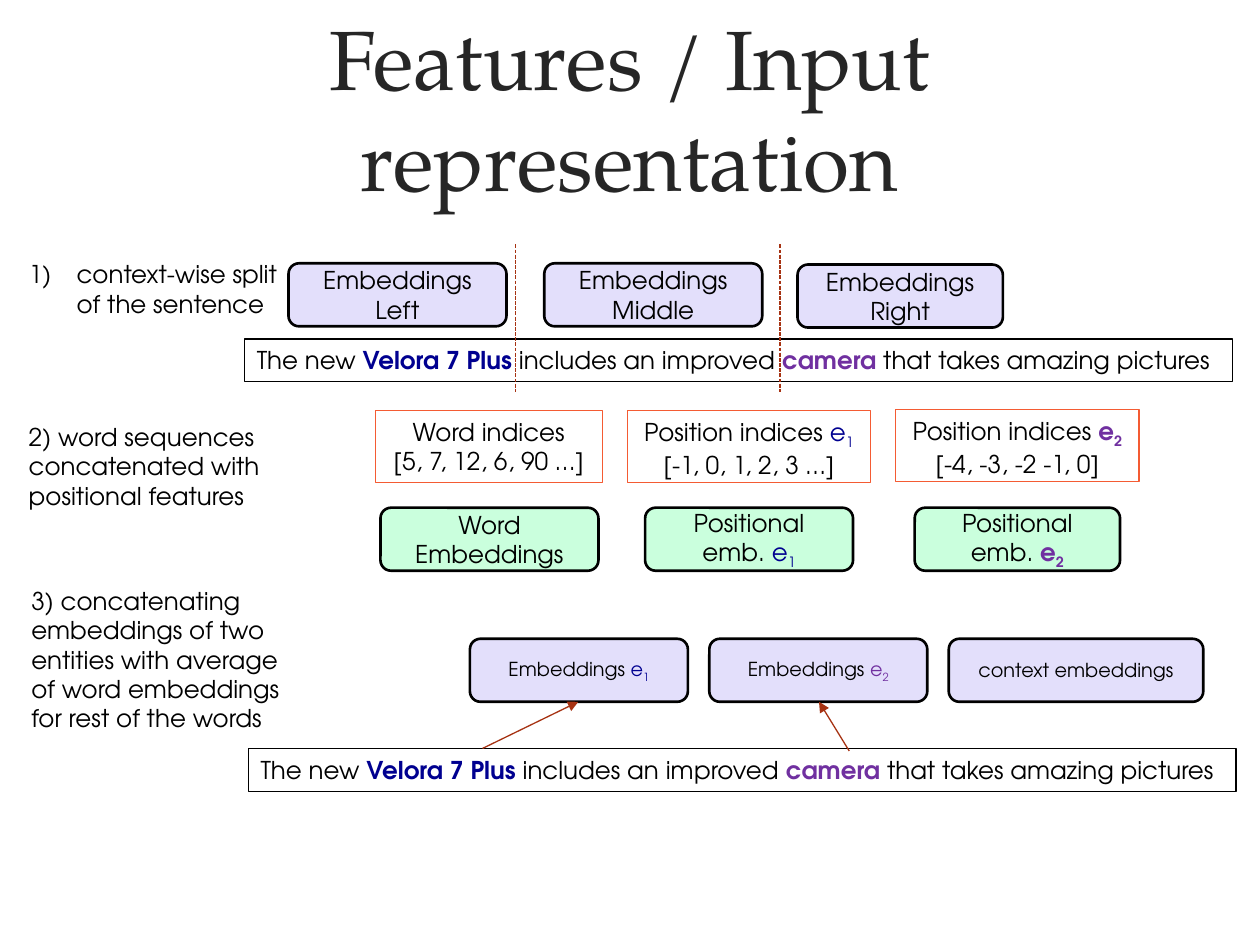
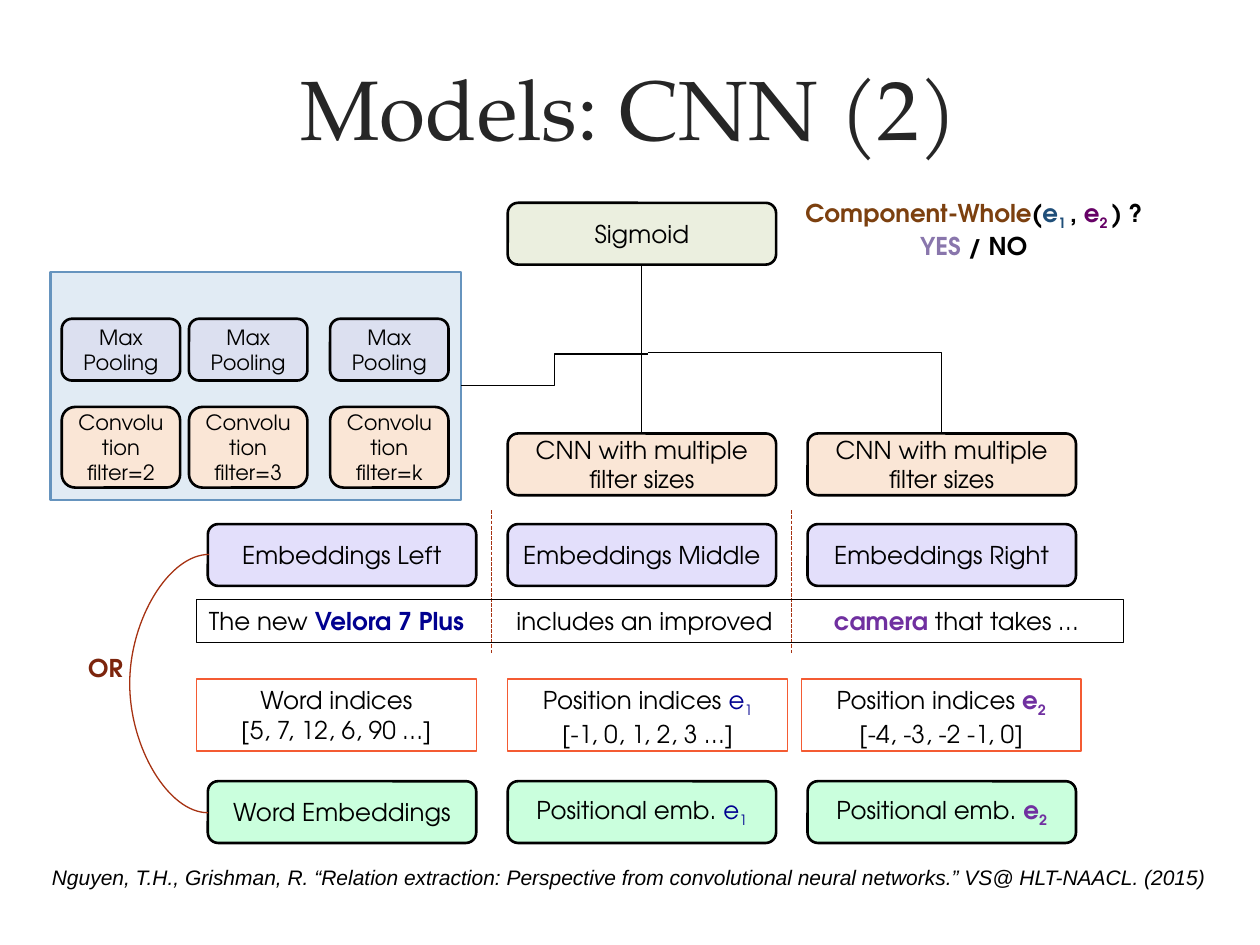
from dataclasses import dataclass

from lxml import etree
from pptx import Presentation
from pptx.dml.color import RGBColor
from pptx.enum.dml import MSO_LINE_DASH_STYLE as Dash
from pptx.enum.shapes import MSO_CONNECTOR as Link, MSO_SHAPE as Shape
from pptx.enum.text import MSO_ANCHOR as Anchor, PP_ALIGN as Align
from pptx.oxml.ns import qn
from pptx.util import Inches, Pt


@dataclass(frozen=True)
class Theme:
    body_font: str = "TeX Gyre Adventor"
    title_font: str = "TeX Gyre Pagella"
    cite_font: str = "Arial"
    title_size: int = 48
    body_size: int = 14
    small_size: int = 12
    tiny_size: int = 11
    ink: str = "000000"
    title: str = "262626"
    first: str = "000090"
    second: str = "7030A0"
    accent: str = "A63212"
    index_edge: str = "F45B33"
    lilac: str = "E3DFFB"
    mint: str = "CAFFDD"
    peach: str = "FAE6D6"
    olive: str = "EBEFDF"
    pooling: str = "DCE0F0"
    panel: str = "E1EBF4"
    panel_edge: str = "6694BE"
    choice: str = "7C250D"
    relation: str = "7C400F"
    relation_first: str = "1F4E79"
    relation_second: str = "660066"
    answer: str = "8976AC"


THEME = Theme()


# ---- Content: a paragraph is a list of (text, format) spans ----
def plain(text):
    return [(text, {})]


def entity(digit, color, bold=False):
    return [("e", dict(color=color, bold=bold)),
            (digit, dict(color=color, bold=bold, sub=True))]


E1 = entity("1", THEME.first)
E2 = entity("2", THEME.second, bold=True)
E2_LIGHT = entity("2", THEME.second)
PRODUCT = ("Velora 7 Plus", dict(color=THEME.first, bold=True))
PART = ("camera", dict(color=THEME.second, bold=True))

SENTENCE = [("The new ", {}), PRODUCT, (" includes an improved ", {}), PART,
            (" that takes amazing pictures", {})]
SPLIT_SENTENCE = [("The new ", {}), PRODUCT, ("\tincludes an improved\t", {}),
                  PART, (" that takes …", {})]

CONTEXTS = ["Embeddings Left", "Embeddings Middle", "Embeddings Right"]
INDICES = [
    [plain("Word indices"), plain("[5, 7, 12, 6, 90 …]")],
    [plain("Position indices ") + E1, plain("[-1, 0, 1, 2, 3 …]")],
    [plain("Position indices ") + E2, plain("[-4, -3, -2 -1, 0]")],
]
EMBEDDINGS = [
    [plain("Word Embeddings")],
    [plain("Positional emb. ") + E1],
    [plain("Positional emb. ") + E2],
]
AVERAGED = [
    [plain("Embeddings ") + E1],
    [plain("Embeddings ") + E2_LIGHT],
    [plain("context embeddings")],
]
STEPS = [
    (0.13, 2.01, 2.39, 0.57, "context-wise split of the sentence", True),
    (0.13, 3.3, 2.4, 0.81,
     "2) word sequences concatenated with positional features", False),
    (0.15, 4.6, 2.36, 1.28,
     "3) concatenating embeddings of two entities with average of word "
     "embeddings for rest of the words", False),
]
CNN = "CNN with multiple filter sizes"
FILTERS = [(0.49, "2"), (1.5, "3"), (2.62, "k")]
QUESTION = [
    [("Component-Whole", dict(color=THEME.relation)), ("(", {}),
     ("e", dict(color=THEME.relation_first)),
     ("1 ", dict(color=THEME.relation_first, sub=True)), (", ", {}),
     ("e", dict(color=THEME.relation_second)),
     ("2 ", dict(color=THEME.relation_second, sub=True)), (") ? ", {})],
    [("YES", dict(color=THEME.answer)), (" / NO", {})],
]
CITATION = ("Nguyen, T.H., Grishman, R. “Relation extraction: Perspective from "
            "convolutional neural networks.” VS@ HLT-NAACL. (2015)")


# ---- Drawing helpers ----
def inches(*values):
    return [Inches(value) for value in values]


def write(box, text, size=THEME.body_size, font=THEME.body_font,
          color=THEME.ink, bold=False, italic=False, align=Align.CENTER,
          anchor=Anchor.TOP, wrap=True, numbered=False, tabs=()):
    """Fill a box with a string or with a list of paragraphs."""
    frame = box.text_frame
    frame.word_wrap = wrap
    frame.vertical_anchor = anchor
    paragraphs = [plain(text)] if isinstance(text, str) else text
    for number, spans in enumerate(paragraphs):
        para = frame.add_paragraph() if number else frame.paragraphs[0]
        para.alignment = align
        props = para._p.get_or_add_pPr()
        if numbered:
            props.set("marL", str(Inches(0.38)))
            props.set("indent", str(-Inches(0.38)))
            etree.SubElement(props, qn("a:buAutoNum"), type="arabicParenR")
        if tabs:
            stops = etree.SubElement(props, qn("a:tabLst"))
            for stop in tabs:
                etree.SubElement(stops, qn("a:tab"), pos=str(Inches(stop)), algn="l")
        para.font.size = Pt(size)
        for words, style in spans:
            span = para.add_run()
            span.text = words
            span.font.size = Pt(size)
            span.font.name = font
            span.font.bold = style.get("bold", bold)
            span.font.italic = italic
            span.font.color.rgb = RGBColor.from_string(style.get("color", color))
            if style.get("sub"):
                span._r.get_or_add_rPr().set("baseline", "-25000")


def add_label(page, place, text, **style):
    write(page.shapes.add_textbox(*inches(*place)), text, **style)


def add_box(page, kind, place, fill=None, edge=THEME.ink, weight=0.75):
    box = page.shapes.add_shape(kind, *inches(*place))
    box.shadow.inherit = False
    if fill:
        box.fill.solid()
        box.fill.fore_color.rgb = RGBColor.from_string(fill)
    else:
        box.fill.background()
    box.line.color.rgb = RGBColor.from_string(edge)
    box.line.width = Pt(weight)
    return box


def add_card(page, place, text, fill, size=THEME.body_size):
    box = add_box(page, Shape.ROUNDED_RECTANGLE, place, fill, weight=1.5)
    write(box, text, size=size, anchor=Anchor.MIDDLE)


def add_frame(page, place, text, edge=THEME.ink, **style):
    write(add_box(page, Shape.RECTANGLE, place, edge=edge), text, **style)


def add_line(page, start, end, kind=Link.STRAIGHT, color=THEME.accent,
             dashed=False, arrow=False, bend=None):
    line = page.shapes.add_connector(kind, *inches(*start, *end))
    line.line.color.rgb = RGBColor.from_string(color)
    line.line.width = Pt(0.75)
    if dashed:
        line.line.dash_style = Dash.SQUARE_DOT
    props = line._element.spPr
    if arrow:
        etree.SubElement(props.find(qn("a:ln")), qn("a:tailEnd"), type="triangle")
    if bend is not None:
        guides = props.find(qn("a:prstGeom")).find(qn("a:avLst"))
        etree.SubElement(guides, qn("a:gd"), name="adj1",
                         fmla=f"val {round(bend * 100000)}")
    etree.SubElement(props, qn("a:effectLst"))


def add_page(deck, title):
    page = deck.slides.add_slide(deck.slide_layouts[6])
    add_label(page, (0.6, 0.2, 8.79, 1.3), title, size=THEME.title_size,
              font=THEME.title_font, color=THEME.title, anchor=Anchor.MIDDLE)
    return page


# ---- Slides ----
def build_features(deck):
    page = add_page(deck, "Features / Input representation")
    for left, top, width, height, text, numbered in STEPS:
        add_label(page, (left, top, width, height), text,
                  align=Align.LEFT, numbered=numbered)

    # Step 1: split of the sentence
    context_slots = [(2.29, 2.09, 1.73), (4.32, 2.09, 1.73), (6.33, 2.1, 1.63)]
    for slot, text in zip(context_slots, CONTEXTS):
        add_card(page, (*slot, 0.5), text, THEME.lilac)
    for left, top in [(1.94, 2.69), (1.97, 5.94)]:
        add_frame(page, (left, top, 7.84, 0.34), [SENTENCE], align=Align.LEFT)
    for x in (4.09, 6.19):
        add_line(page, (x, 1.94), (x, 3.11), dashed=True)

    # Step 2: indices and their embeddings
    index_slots = [(2.98, 3.26, 1.8), (4.98, 3.26, 1.93), (7.11, 3.25, 1.93)]
    for slot, text in zip(index_slots, INDICES):
        add_frame(page, (*slot, 0.57), text, edge=THEME.index_edge)
    for (left, width), text in zip([(3.02, 1.73), (5.12, 1.65), (7.26, 1.63)],
                                   EMBEDDINGS):
        add_card(page, (left, 4.03, width, 0.5), text, THEME.mint)

    # Step 3: entities and averaged context
    for (left, width), text in zip([(3.73, 1.73), (5.63, 1.73), (7.53, 2.02)],
                                   AVERAGED):
        add_card(page, (left, 5.07, width, 0.5), text, THEME.lilac,
                 size=THEME.tiny_size)
    add_line(page, (3.83, 5.94), (4.59, 5.57), arrow=True)
    add_line(page, (6.74, 5.96), (6.5, 5.57), arrow=True)


def build_cnn(deck):
    page = add_page(deck, "Models: CNN (2)")
    card_width, card_height = 2.13, 0.49
    columns = [1.65 + 2.38 * number for number in range(3)]

    # Columns of layers
    layers = [
        (1.61, THEME.olive, {1: "Sigmoid"}),
        (3.44, THEME.peach, {1: CNN, 2: CNN}),
        (4.16, THEME.lilac, dict(enumerate(CONTEXTS))),
        (6.2, THEME.mint, dict(enumerate(EMBEDDINGS))),
    ]
    for top, fill, cards in layers:
        for column, text in cards.items():
            add_card(page, (columns[column], top, card_width, card_height),
                     text, fill)
    for left, text in zip((1.56, 4.03, 6.36), INDICES):
        add_frame(page, (left, 5.39, 2.22, 0.57), text, edge=THEME.index_edge)

    # Sentence cut into three contexts
    for x in (3.9, 6.28):
        add_line(page, (x, 4.05), (x, 5.19), dashed=True)
    add_frame(page, (1.56, 4.76, 7.36, 0.34), [SPLIT_SENTENCE],
              align=Align.LEFT, tabs=(2.44, 4.96))

    # Choice between the two inputs
    add_line(page, (1.66, 4.4), (1.65, 6.45), kind=Link.CURVE, bend=64)
    add_label(page, (0.6, 5.13, 0.95, 0.39), "OR", color=THEME.choice,
              bold=True, align=Align.LEFT, wrap=False)

    # Panel that opens up one CNN
    add_box(page, Shape.RECTANGLE, (0.4, 2.16, 3.26, 1.81), THEME.panel,
            THEME.panel_edge, 1.5)
    for left, size in FILTERS:
        add_card(page, (left, 3.23, 0.94, 0.64),
                 [plain("Convolution"), plain(f"filter={size}")],
                 THEME.peach, size=THEME.small_size)
        add_card(page, (left, 2.53, 0.94, card_height), "Max Pooling",
                 THEME.pooling, size=THEME.small_size)

    # Links up to the sigmoid
    add_line(page, (3.66, 3.06), (5.14, 2.81), kind=Link.ELBOW, color=THEME.ink)
    add_line(page, (5.14, 2.8), (7.47, 3.44), kind=Link.ELBOW,
             color=THEME.ink, bend=1)
    add_line(page, (5.09, 3.44), (5.09, 2.1), color=THEME.ink)

    # Question and source
    add_label(page, (6.28, 1.52, 2.9, 0.81), QUESTION, bold=True)
    add_label(page, (0.27, 6.81, 9.45, 0.3), CITATION, size=THEME.small_size,
              font=THEME.cite_font, italic=True)


def main():
    deck = Presentation()
    deck.slide_width, deck.slide_height = inches(10, 7.5)
    build_features(deck)
    build_cnn(deck)
    deck.save("out.pptx")


if __name__ == "__main__":
    main()
